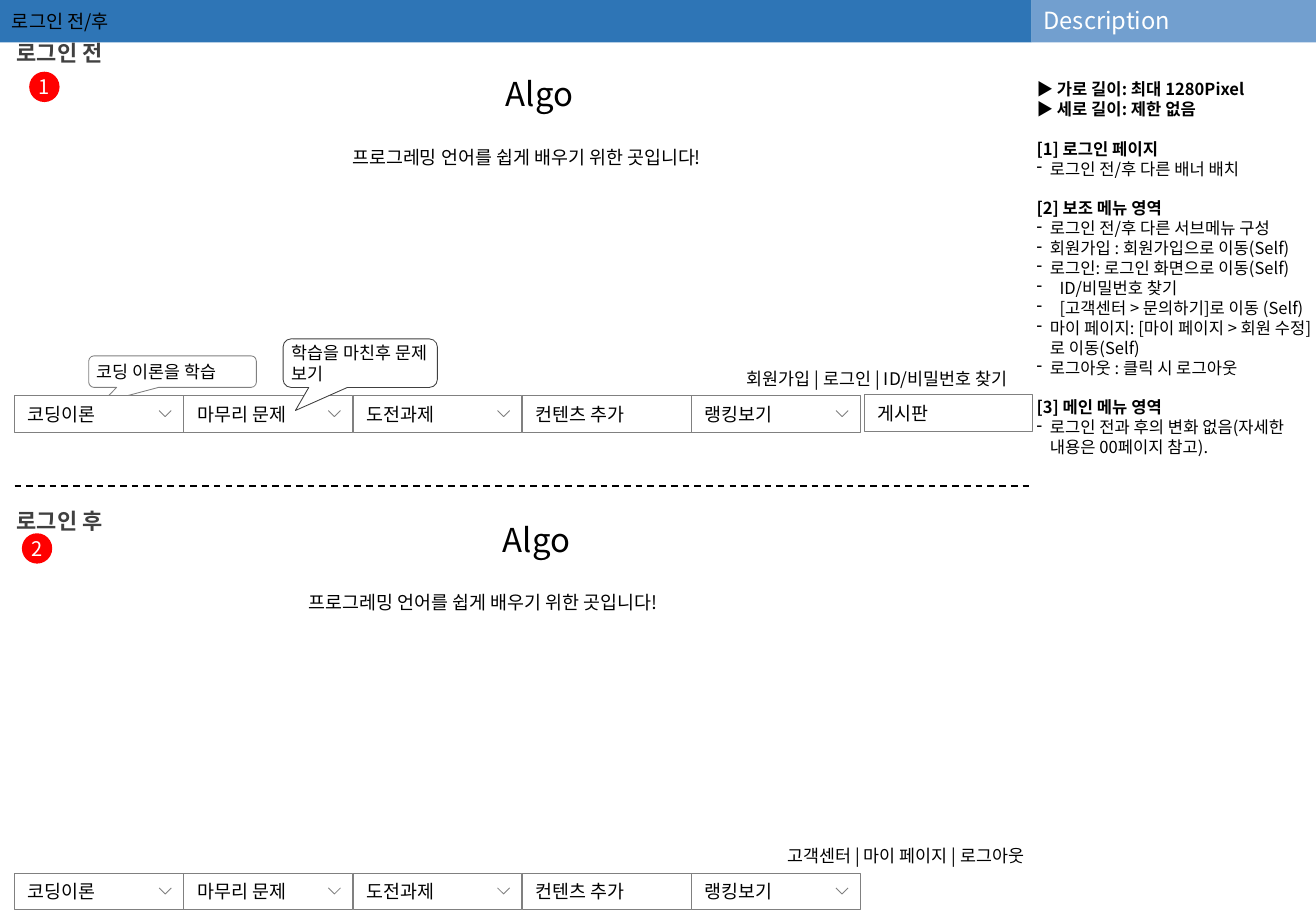
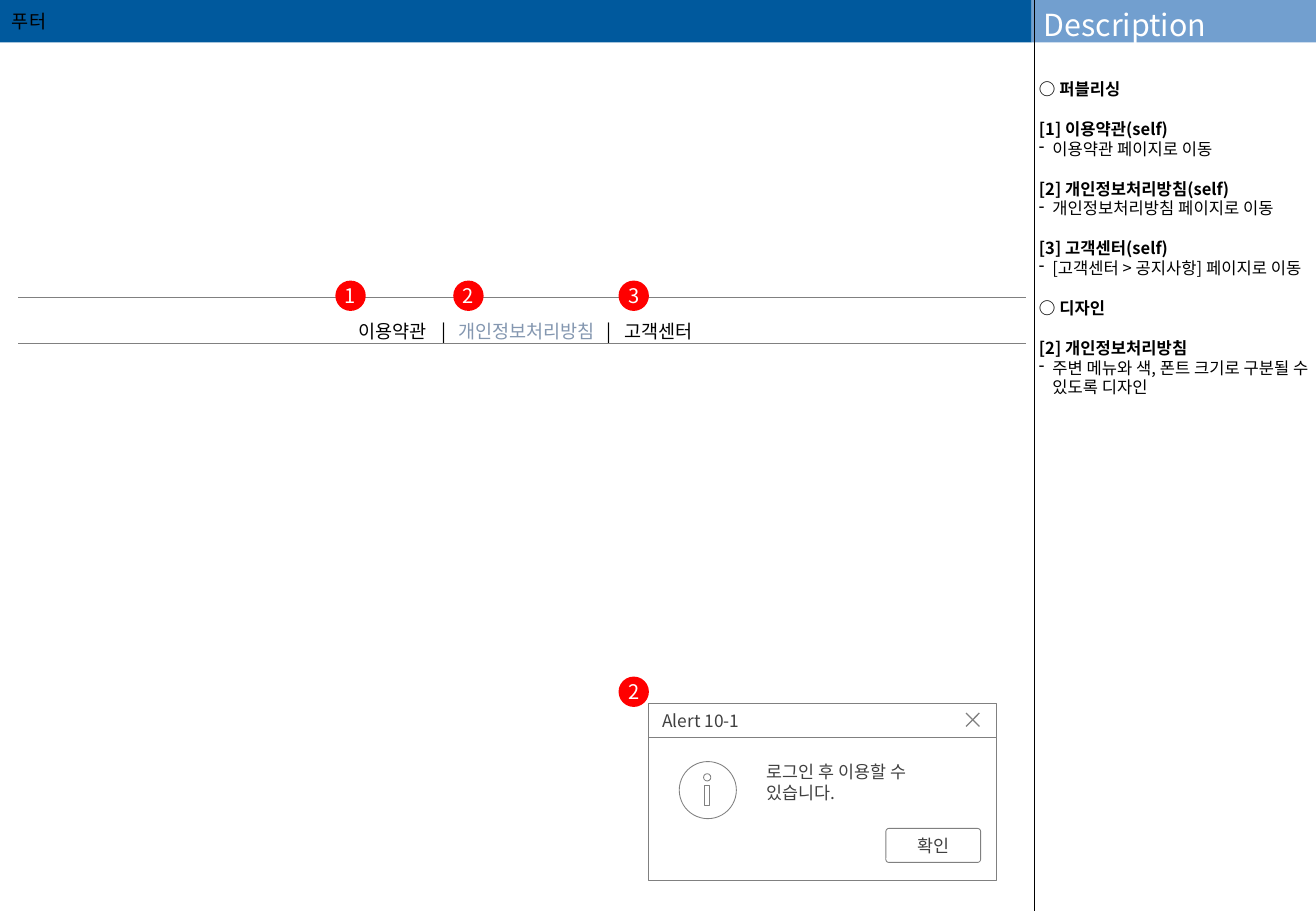
from dataclasses import dataclass

from lxml import etree
from pptx import Presentation
from pptx.dml.color import RGBColor
from pptx.enum.dml import MSO_LINE
from pptx.enum.shapes import MSO_CONNECTOR, MSO_SHAPE
from pptx.enum.text import MSO_ANCHOR, PP_ALIGN
from pptx.oxml.ns import qn
from pptx.util import Inches, Pt

RECTANGLE, ELLIPSE = MSO_SHAPE.RECTANGLE, MSO_SHAPE.OVAL
ROUNDED, CALLOUT = MSO_SHAPE.ROUNDED_RECTANGLE, MSO_SHAPE.ROUNDED_RECTANGULAR_CALLOUT
LEFT, CENTER, RIGHT = PP_ALIGN.LEFT, PP_ALIGN.CENTER, PP_ALIGN.RIGHT
TOP, MIDDLE = MSO_ANCHOR.TOP, MSO_ANCHOR.MIDDLE
STRAIGHT, DASH = MSO_CONNECTOR.STRAIGHT, MSO_LINE.DASH


@dataclass(frozen=True)
class Theme:
    font: str = "Noto Sans CJK KR"
    black: str = "000000"
    white: str = "FFFFFF"
    dark: str = "404040"
    gray: str = "808080"
    muted: str = "8497B0"
    red: str = "FF0000"
    band: str = "2E75B6"
    footer_band: str = "00599D"
    side_band: str = "729FCF"
    logo_size: float = 19.5
    section_size: float = 13
    badge_size: float = 11.9
    title_size: float = 11
    menu_size: float = 10.9
    label_size: float = 10.3
    note_size: float = 9.8
    note_line: float = 11.8
    hairline: float = 0.5


theme = Theme()


def style_run(run, size, color=theme.black, bold=False):
    run.font.name = theme.font
    run.font.size = Pt(size)
    run.font.bold = bold
    run.font.color.rgb = RGBColor.from_string(color)
    east_asian = etree.Element(qn("a:ea"), typeface=theme.font)
    run.font._element.find(qn("a:latin")).addnext(east_asian)


def add_box(slide, at, text="", size=theme.label_size, color=theme.black, bold=False,
            align=LEFT, anchor=MIDDLE, insets=(0.1, 0.05), kind=None, fill=None, line=None):
    place = [Inches(length) for length in at]
    if kind is None:
        shape = slide.shapes.add_textbox(*place)
    else:
        shape = slide.shapes.add_shape(kind, *place)
        shape.shadow.inherit = False
        if fill:
            shape.fill.solid()
            shape.fill.fore_color.rgb = RGBColor.from_string(fill)
        else:
            shape.fill.background()
        if line:
            shape.line.color.rgb = RGBColor.from_string(line)
            shape.line.width = Pt(theme.hairline)
        else:
            shape.line.fill.background()
    frame = shape.text_frame
    frame.word_wrap = True
    frame.vertical_anchor = anchor
    frame.margin_left = frame.margin_right = Inches(insets[0])
    frame.margin_top = frame.margin_bottom = Inches(insets[1])
    if text:
        frame.text = text
        paragraph = frame.paragraphs[0]
        paragraph.alignment = align
        style_run(paragraph.runs[0], size, color, bold)
    return shape


presentation = Presentation()
presentation.slide_width = Inches(10.83)
presentation.slide_height = Inches(7.5)
blank = presentation.slide_layouts[6]
login_slide = presentation.slides.add_slide(blank)
footer_slide = presentation.slides.add_slide(blank)

login_notes = [
    [("heading", "▶ 가로 길이: 최대 1280Pixel"), ("heading", "▶ 세로 길이: 제한 없음")],
    [("heading", "[1] 로그인 페이지"), ("dash", "로그인 전/후 다른 배너 배치")],
    [("heading", "[2] 보조 메뉴 영역"),
     ("dash", "로그인 전/후 다른 서브메뉴 구성"),
     ("dash", "회원가입 : 회원가입으로 이동(Self)"),
     ("dash", "로그인: 로그인 화면으로 이동(Self)"),
     ("wide dash", "ID/비밀번호 찾기"),
     ("wide dash", "[고객센터 > 문의하기]로 이동 (Self)"),
     ("dash", "마이 페이지: [마이 페이지 > 회원 수정]로 이동(Self)"),
     ("dash", "로그아웃 : 클릭 시 로그아웃")],
    [("heading", "[3] 메인 메뉴 영역"),
     ("dash", "로그인 전과 후의 변화 없음(자세한 내용은 00페이지 참고).")],
]
footer_notes = [
    [("heading", "○ 퍼블리싱")],
    [("heading", "[1] 이용약관(self)"), ("dash", "이용약관 페이지로 이동")],
    [("heading", "[2] 개인정보처리방침(self)"), ("dash", "개인정보처리방침 페이지로 이동")],
    [("heading", "[3] 고객센터(self)"), ("dash", "[고객센터 > 공지사항] 페이지로 이동")],
    [("heading", "○ 디자인")],
    [("heading", "[2] 개인정보처리방침"),
     ("dash", "주변 메뉴와 색, 폰트 크기로 구분될 수 있도록 디자인")],
]
hanging = {"dash": 0.11, "wide dash": 0.19}

for slide, title, band, side_size, note_left, notes in [
    (login_slide, "로그인 전/후", theme.band, 14, 8.49, login_notes),
    (footer_slide, "푸터", theme.footer_band, 18, 8.51, footer_notes),
]:
    add_box(slide, (0, 0, 8.49, 0.35), title, theme.title_size, kind=RECTANGLE, fill=band)
    add_box(slide, (8.49, 0, 2.34, 0.35), "Description", side_size, theme.white,
            anchor=TOP, kind=RECTANGLE, fill=theme.side_band)
    frame = add_box(slide, (note_left, 0.35, 10.83 - note_left, 7.15),
                    anchor=TOP, insets=(0.04, 0)).text_frame
    frame.margin_top = Inches(0.3)
    entries = [(kind, text, group > 0 and row == 0)
               for group, rows in enumerate(notes) for row, (kind, text) in enumerate(rows)]
    frame.text = "\n".join(text for _, text, _ in entries)
    for paragraph, (kind, _, opens_group) in zip(frame.paragraphs, entries):
        if kind in hanging:
            properties = paragraph._p.get_or_add_pPr()
            properties.set("marL", str(Inches(hanging[kind])))
            properties.set("indent", str(-Inches(hanging[kind])))
            etree.SubElement(properties, qn("a:buChar"), char="-")
        paragraph.line_spacing = Pt(theme.note_line)
        if opens_group:
            paragraph.space_before = Pt(theme.note_line)
        style_run(paragraph.runs[0], theme.note_size, bold=kind == "heading")

for heading, heading_top, logo_at, slogan_at, links, links_at in [
    ("로그인 전", 0.28, (3.09, 0.56, 2.7, 0.42), (2.8, 1.15, 3.36, 0.28),
     "회원가입 | 로그인 | ID/비밀번호 찾기", (4.45, 2.9, 3.94, 0.27)),
    ("로그인 후", 4.13, (3.56, 4.23, 1.71, 0.42), (2.44, 4.82, 4.1, 0.28),
     "고객센터 | 마이 페이지 | 로그아웃", (3.79, 6.82, 4.74, 0.27)),
]:
    add_box(login_slide, (0, heading_top, 0.98, 0.31), heading, theme.section_size,
            theme.dark, bold=True, align=CENTER, anchor=TOP)
    add_box(login_slide, logo_at, "Algo", theme.logo_size, align=CENTER, anchor=TOP)
    add_box(login_slide, slogan_at, "프로그레밍 언어를 쉽게 배우기 위한 곳입니다!",
            theme.menu_size, anchor=TOP)
    link_box = add_box(login_slide, links_at, links, align=RIGHT, anchor=TOP)
    link_box.text_frame.paragraphs[0].line_spacing = 1.5

theory_callout = add_box(login_slide, (0.73, 2.93, 1.38, 0.26), "코딩 이론을 학습",
                         insets=(0.05, 0.05), kind=CALLOUT, fill=theme.white, line=theme.gray)

menu_items = [("코딩이론", True), ("마무리 문제", True), ("도전과제", True),
              ("컨텐츠 추가", False), ("랭킹보기", True)]
menu_style = dict(size=theme.menu_size, insets=(0.11, 0.05), kind=RECTANGLE,
                  fill=theme.white, line=theme.gray)
for menu_top in (3.26, 7.19):
    for column, (label, has_submenu) in enumerate(menu_items):
        left = 0.12 + column * 1.3925
        add_box(login_slide, (left, menu_top, 1.39, 0.3), label, **menu_style)
        if has_submenu:
            x, y = left + 1.19, menu_top + 0.12
            builder = login_slide.shapes.build_freeform(Inches(x), Inches(y))
            builder.add_line_segments([(Inches(x + 0.05), Inches(y + 0.05)),
                                       (Inches(x + 0.1), Inches(y))], close=False)
            chevron = builder.convert_to_shape()
            chevron.shadow.inherit = False
            chevron.fill.background()
            chevron.line.color.rgb = RGBColor.from_string(theme.gray)
            chevron.line.width = Pt(theme.hairline)
add_box(login_slide, (7.11, 3.25, 1.39, 0.3), "게시판", **menu_style)

quiz_callout = add_box(login_slide, (2.33, 2.79, 1.27, 0.4), "학습을 마친후 문제 보기",
                       insets=(0.05, 0.05), kind=CALLOUT, fill=theme.white, line=theme.dark)
for callout in (theory_callout, quiz_callout):
    for index, value in enumerate((-0.42, 0.975, 0.167)):
        callout.adjustments[index] = value

table_frame = footer_slide.shapes.add_table(1, 1, Inches(0.14), Inches(2.45),
                                            Inches(8.31), Inches(0.38))
table = table_frame.table
table.first_row = table.horz_banding = False
cell = table.cell(0, 0)
cell.fill.background()
cell.margin_left = Inches(2.81)
cell.margin_right = Inches(0.11)
cell_properties = cell._tc.get_or_add_tcPr()
for index, (side, color, width) in enumerate([
    ("L", theme.white, 0.96), ("R", theme.white, 0.96),
    ("T", theme.gray, theme.hairline), ("B", theme.gray, theme.hairline),
]):
    border = etree.Element(qn(f"a:ln{side}"), w=str(Pt(width)))
    solid = etree.SubElement(border, qn("a:solidFill"))
    etree.SubElement(solid, qn("a:srgbClr"), val=color)
    cell_properties.insert(index, border)
paragraph = cell.text_frame.paragraphs[0]
tab_list = etree.SubElement(paragraph._p.get_or_add_pPr(), qn("a:tabLst"))
for position in (0.68, 0.82, 2.04, 2.19):
    etree.SubElement(tab_list, qn("a:tab"), pos=str(Inches(position)), algn="l")
paragraph.line_spacing = 1.5
for text, color in [("이용약관\t|\t", theme.black), ("개인정보처리방침", theme.muted),
                    ("\t|\t고객센터", theme.black)]:
    run = paragraph.add_run()
    run.text = text
    style_run(run, theme.title_size, color)

panel = dict(kind=RECTANGLE, fill=theme.white, line=theme.gray)
add_box(footer_slide, (5.34, 6.07, 2.86, 1.18), **panel)
add_box(footer_slide, (5.34, 5.79, 2.86, 0.28), "Alert 10-1", color=theme.dark,
        insets=(0.11, 0.05), **panel)
add_box(footer_slide, (6.22, 6.23, 1.76, 0.51), "로그인 후 이용할 수 있습니다.",
        color=theme.dark, anchor=TOP, insets=(0.09, 0.04))
confirm_button = add_box(footer_slide, (7.29, 6.82, 0.78, 0.28), "확인", color=theme.dark,
                         align=CENTER, kind=ROUNDED, fill=theme.white, line=theme.gray)
confirm_button.adjustments[0] = 0.088
for kind, at in [(ELLIPSE, (5.59, 6.27, 0.47, 0.47)), (ELLIPSE, (5.79, 6.37, 0.06, 0.06)),
                 (RECTANGLE, (5.8, 6.47, 0.04, 0.16))]:
    add_box(footer_slide, at, kind=kind, line=theme.gray)

for slide, start, end, color, width, dash in [
    (login_slide, (0.12, 4), (8.48, 4), theme.black, 1, DASH),
    (footer_slide, (8.51, 0), (8.51, 7.5), theme.black, theme.hairline, None),
    (footer_slide, (7.95, 5.87), (8.06, 5.98), theme.gray, 0.75, None),
    (footer_slide, (7.95, 5.98), (8.06, 5.87), theme.gray, 0.75, None),
]:
    ends = [Inches(length) for length in start + end]
    connector = slide.shapes.add_connector(STRAIGHT, *ends)
    connector.line.color.rgb = RGBColor.from_string(color)
    connector.line.width = Pt(width)
    connector.line.dash_style = dash
    etree.SubElement(connector._element.spPr, qn("a:effectLst"))

for slide, number, left, top in [
    (login_slide, 1, 0.24, 0.59), (login_slide, 2, 0.18, 4.39),
    (footer_slide, 1, 2.76, 2.31), (footer_slide, 2, 3.73, 2.31),
    (footer_slide, 3, 5.09, 2.31), (footer_slide, 2, 5.09, 5.57),
]:
    add_box(slide, (left, top, 0.25, 0.25), str(number), theme.badge_size, theme.white,
            align=CENTER, insets=(0, 0), kind=ELLIPSE, fill=theme.red)

presentation.save("out.pptx")
